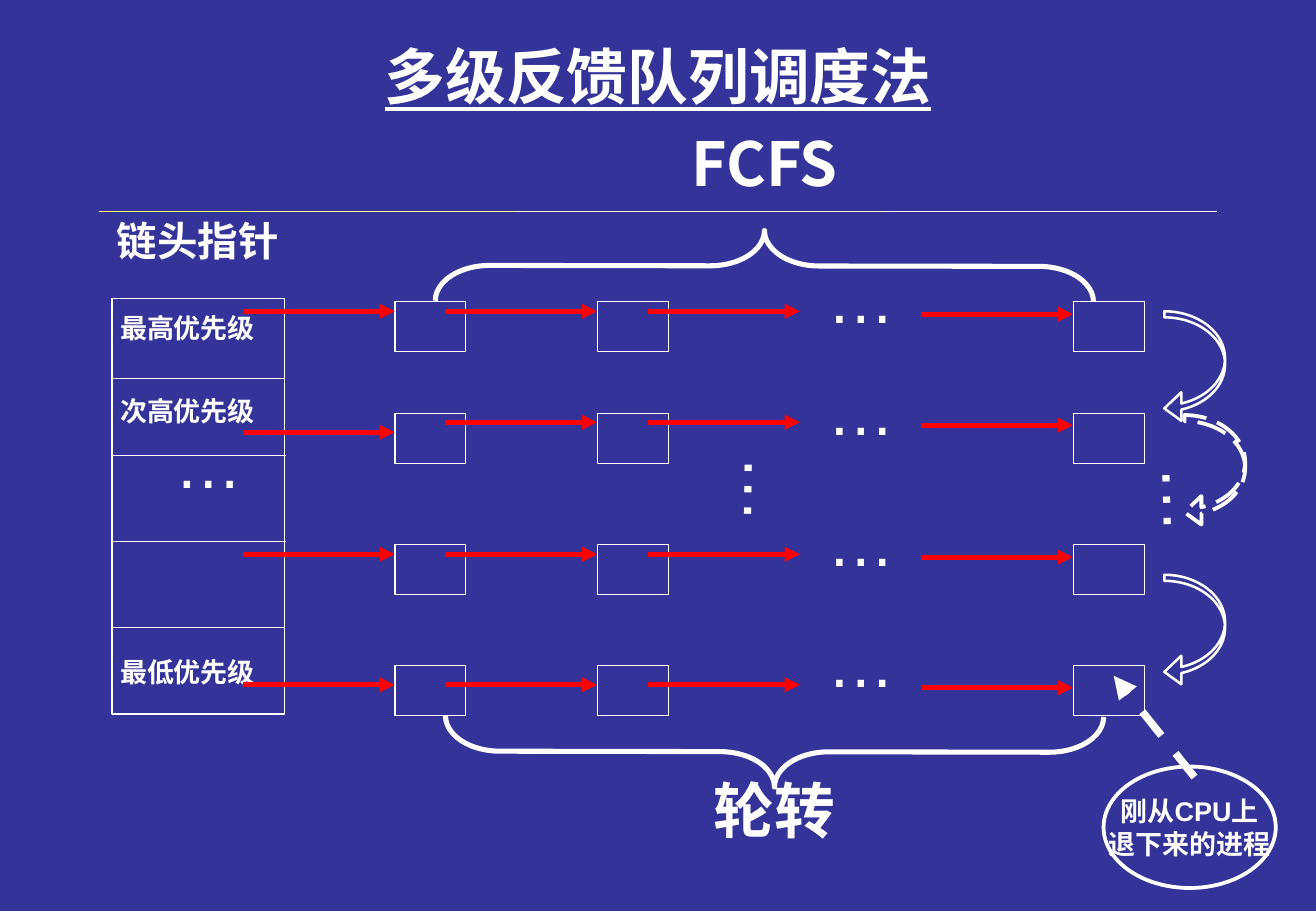
from lxml.etree import SubElement as Sub
from pptx import Presentation
from pptx.dml.color import RGBColor as Rgb
from pptx.enum.dml import MSO_LINE as Dash
from pptx.enum.shapes import MSO_CONNECTOR as Link, MSO_SHAPE as Kind
from pptx.enum.text import MSO_ANCHOR as Anchor, MSO_AUTO_SIZE as Auto, PP_ALIGN as Align
from pptx.oxml.ns import qn
from pptx.util import Cm, Pt

WHITE, RED, BLUE = "FFFFFF", "FF0000", "333399"
LATIN, ASIAN = "Arial", "Noto Sans CJK SC"
DOTS = "…"

TITLE = "多级反馈队列调度法"
LABELS = [
    ("最高优先级", (2.12, 6.4, 3.6, 0.94), 16, LATIN),
    ("次高优先级", (2.12, 8.13, 3.6, 0.94), 16, LATIN),
    ("最低优先级", (2.12, 13.59, 3.6, 0.94), 16, LATIN),
    ("链头指针", (2.12, 4.39, 4.02, 1.27), 24, LATIN),
    ("FCFS", (13.76, 2.51, 4.45, 1.78), 36, ASIAN),
    ("轮转", (14.39, 16.03, 3.6, 1.78), 36, LATIN),
]
GAPS = [(3.39, 8.69, 0), (14.2, 9.25, 270.8), (23.92, 9.47, 88.4)]
NOTE = ["刚从CPU上", "退下来的进程"]

RULES = [
    (WHITE, 18.57, 2, 2.75, 2.75),
    (WHITE, 24.07, 1, 0, 1.38),
    ("FFFFCC", 10.32, 3, 2.75, 2.75),
    ("FFFF99", 4.36, 4, 1.38, 2.29),
    ("FFFF66", 2.98, 1, 0, 2.29),
    ("FFFF66", 2.06, 1, 0, 1.83),
]
FRAME = (2.34, 6.24, 3.61, 8.69)
SPLITS = [(2.34, 7.92), (2.36, 9.52), (2.36, 11.32), (2.34, 13.12)]
ROWS = [(6.3, 6.51, 6.51), (8.64, 9.04, 8.83), (11.38, 11.59, 11.59), (13.91, 14.32, 14.32)]
BOXES = [8.26, 12.49, 22.44]
BOX_W, BOX_H = 1.48, 1.06
STARTS = [5.08, 9.31, 13.55]
LAST, REACH, DROP = 19.26, 3.17, 0.06
BRACES = [(15.24, -1.32, 270.1), (15.45, 8.84, 90.1)]
TURNS = [(24.76, 8.68, 2.25, Dash.LONG_DASH), (24.34, 6.51, 1.5, None), (24.34, 12.02, 1.5, None)]

deck = Presentation()
deck.slide_width, deck.slide_height = Cm(27.51), Cm(19.05)
slide = deck.slides.add_slide(deck.slide_layouts[5])
shapes = slide.shapes


def tint(code):
    return Rgb.from_string(code)


def span(box):
    return [Cm(n) for n in box]


def write(frame, lines, size=16, face=LATIN, bold=True, under=False,
          wrap=True, anchor=Anchor.TOP, grow=True):
    frame.word_wrap = wrap
    frame.vertical_anchor = anchor
    frame.auto_size = Auto.SHAPE_TO_FIT_TEXT if grow else Auto.NONE
    for i, line in enumerate(lines):
        para = frame.add_paragraph() if i else frame.paragraphs[0]
        para.alignment = Align.CENTER
        run = para.add_run()
        run.text = line
        font = run.font
        font.size, font.bold, font.underline = Pt(size), bold, under
        font.color.rgb = tint(WHITE)
        font.name = face
        Sub(run._r.get_or_add_rPr(), qn("a:ea"), typeface=ASIAN)


def label(lines, box, turn=0, **form):
    item = shapes.add_textbox(*span(box))
    item.rotation = turn
    write(item.text_frame, lines, **form)


def stroke(line, hue, width, dash=None):
    line.color.rgb = tint(hue)
    line.width = Pt(width)
    if dash:
        line.dash_style = dash


def draw(kind, box, width=0.75, turn=0, adjust=(), dash=None):
    item = shapes.add_shape(kind, *span(box))
    item.shadow.inherit = False
    item.fill.background()
    item.rotation = turn
    for i, part in enumerate(adjust):
        item.adjustments[i] = part
    stroke(item.line, WHITE, width, dash)
    return item


def join(x1, y1, x2, y2, hue=WHITE, width=0.75, dash=None, head=False):
    item = shapes.add_connector(Link.STRAIGHT, *span((x1, y1, x2, y2)))
    stroke(item.line, hue, width, dash)
    props = item._element.spPr
    if head:
        Sub(props.find(qn("a:ln")), qn("a:tailEnd"), type="triangle")
    Sub(props, qn("a:effectLst"))


def arrow(x, y):
    join(x, y, x + REACH, y, RED, 3, head=True)


def main():
    back = slide.background.fill
    back.solid()
    back.fore_color.rgb = tint(BLUE)

    for hue, left, count, step, size in RULES:
        for i in range(count):
            x = left + i * step
            join(x, 4.43, x + size, 4.43, hue)

    head = shapes.title
    head.left, head.top, head.width, head.height = span((2.06, 0.41, 23.39, 2.34))
    write(head.text_frame, [TITLE], size=36, face=ASIAN, under=True,
          anchor=Anchor.MIDDLE, grow=False)

    for x, y in SPLITS:
        join(x, y, x + FRAME[2], y)
    draw(Kind.RECTANGLE, FRAME)
    for words, box, size, face in LABELS:
        label([words], box, size=size, face=face)
    for x, y, turn in GAPS:
        label([DOTS], (x, y, 1.93, 1.96), turn, size=40, bold=False)

    for top, first, rest in ROWS:
        for x in BOXES:
            draw(Kind.RECTANGLE, (x, top, BOX_W, BOX_H))
        for x, y in zip(STARTS, (first, rest, rest)):
            arrow(x, y)
        arrow(LAST, rest + DROP)
        label([DOTS], (16.3, top - 1.07, 3.39, 1.96), size=40, bold=False)

    for x, y, turn in BRACES:
        draw(Kind.RIGHT_BRACE, (x, y, 1.48, 13.76), 3, turn, (0.77, 0.5))
    for x, y, width, dash in TURNS:
        draw(Kind.CURVED_LEFT_ARROW, (x, y, 1.27, 2.33), width,
             adjust=(0.1, 0.47, 0.28), dash=dash)

    note = draw(Kind.OVAL, (23.07, 16.03, 3.6, 2.54), 2.25)
    write(note.text_frame, NOTE, wrap=False, anchor=Anchor.MIDDLE, grow=False)
    join(24.97, 16.25, 23.28, 14.13, width=4.5, dash=Dash.DASH, head=True)

    deck.save("out.pptx")


if __name__ == "__main__":
    main()
